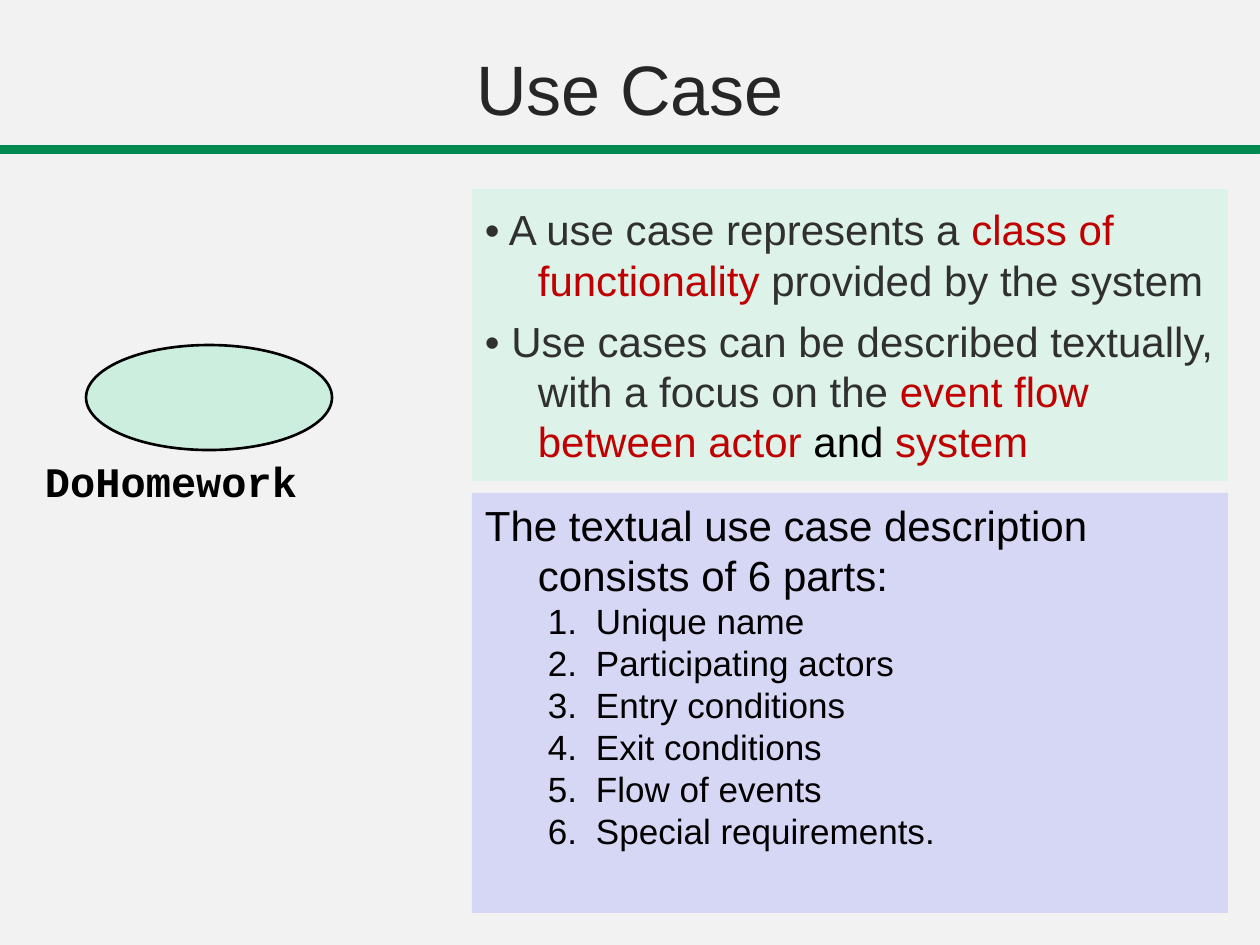
from dataclasses import dataclass

from lxml.etree import SubElement
from pptx import Presentation
from pptx.dml.color import RGBColor
from pptx.enum.shapes import MSO_SHAPE
from pptx.enum.text import MSO_ANCHOR, PP_ALIGN
from pptx.oxml.ns import qn
from pptx.util import Pt

# Content: each paragraph is a list of (text, colour name) runs
TITLE = "Use Case"
USE_CASE_NAME = "DoHomework"
DEFINITION = [
    [("• A use case represents a ", "body"), ("class of functionality", "accent"),
     (" provided by the system", "body")],
    [("• Use cases can be described textually, with a focus on the ", "body"),
     ("event flow between actor ", "accent"), ("and ", "ink"), ("system", "accent")],
]
PARTS_INTRO = "The textual use case description consists of 6 parts:"
PARTS = ["Unique name", "Participating actors", "Entry conditions",
         "Exit conditions", "Flow of events", "Special requirements."]


@dataclass(frozen=True)
class Theme:
    background: str = "F2F2F2"
    rule: str = "018952"
    title: str = "262626"
    body: str = "303030"
    accent: str = "C00000"
    ink: str = "000000"
    mint: str = "DDF3EA"
    ellipse: str = "CCEEDF"
    lavender: str = "D6D6F5"
    font: str = "Arial"
    code_font: str = "Courier New"
    title_size: int = 40
    body_size: int = 24
    list_size: int = 20


THEME = Theme()

# Layout in px, 126 to the inch
SCALE = 914400 / 126
WIDTH, HEIGHT = 1260, 945
PANEL_LEFT, PANEL_WIDTH = 472, 756
INSET_X, INSET_Y = 13, 6
BODY_INDENT = 53
LIST_MARGIN, LIST_INDENT = 111, 48


def px(value):
    return round(value * SCALE)


def color(name):
    return RGBColor.from_string(getattr(THEME, name))


def add_filled(slide, kind, box, fill, line=None, line_width=0):
    shape = slide.shapes.add_shape(kind, *map(px, box))
    shape.shadow.inherit = False
    shape.fill.solid()
    shape.fill.fore_color.rgb = color(fill)
    if line:
        shape.line.color.rgb = color(line)
        shape.line.width = Pt(line_width)
    else:
        shape.line.fill.background()
    return shape


def prepare_text(shape, anchor, inset_x=INSET_X, inset_y=INSET_Y, wrap=True):
    frame = shape.text_frame
    frame.word_wrap = wrap
    frame.vertical_anchor = anchor
    frame.margin_left = frame.margin_right = px(inset_x)
    frame.margin_top = frame.margin_bottom = px(inset_y)
    return frame


def add_paragraph(frame, runs, size, font=THEME.font, align=PP_ALIGN.LEFT,
                  margin=0, hanging=0, space_before=0, numbered=False, bold=False):
    first = frame.paragraphs[0]
    paragraph = frame.add_paragraph() if first.runs else first
    paragraph.alignment = align
    if paragraph is not first:
        paragraph.space_before = Pt(space_before)
    properties = paragraph._p.get_or_add_pPr()
    properties.set("marL", str(px(margin)))
    properties.set("indent", str(-px(hanging)))
    if numbered:
        paragraph.level = 1
        SubElement(properties, qn("a:buFont"), typeface="+mj-lt")
        SubElement(properties, qn("a:buAutoNum"), type="arabicPeriod")
    for text, color_name in runs:
        run = paragraph.add_run()
        run.text = text
        run.font.name = font
        run.font.size = Pt(size)
        run.font.bold = bold
        run.font.color.rgb = color(color_name)


def main():
    presentation = Presentation()
    presentation.slide_width, presentation.slide_height = px(WIDTH), px(HEIGHT)
    slide = presentation.slides.add_slide(presentation.slide_layouts[6])
    slide.background.fill.solid()
    slide.background.fill.fore_color.rgb = color("background")

    # Title and rule
    add_filled(slide, MSO_SHAPE.RECTANGLE, (0, 147, WIDTH, 6), "rule", "rule", 1.75)
    title = slide.shapes.add_textbox(0, 0, px(WIDTH), px(136))
    add_paragraph(prepare_text(title, MSO_ANCHOR.BOTTOM), [(TITLE, "title")],
                  THEME.title_size, align=PP_ALIGN.CENTER)

    # Definition panel
    panel = add_filled(slide, MSO_SHAPE.RECTANGLE,
                       (PANEL_LEFT, 189, PANEL_WIDTH, 292), "mint")
    frame = prepare_text(panel, MSO_ANCHOR.MIDDLE)
    for runs in DEFINITION:
        add_paragraph(frame, runs, THEME.body_size, margin=BODY_INDENT,
                      hanging=BODY_INDENT, space_before=6)

    # Use case symbol and its name
    add_filled(slide, MSO_SHAPE.OVAL, (86, 345, 246, 105), "ellipse", "ink", 1.5)
    label = slide.shapes.add_textbox(*map(px, (45, 456, 273, 50)))
    add_paragraph(prepare_text(label, MSO_ANCHOR.TOP, 0, 0, wrap=False),
                  [(USE_CASE_NAME, "ink")], THEME.body_size, THEME.code_font, bold=True)

    # Description panel
    panel = add_filled(slide, MSO_SHAPE.RECTANGLE,
                       (PANEL_LEFT, 493, PANEL_WIDTH, 420), "lavender")
    frame = prepare_text(panel, MSO_ANCHOR.TOP)
    add_paragraph(frame, [(PARTS_INTRO, "ink")], THEME.body_size,
                  margin=BODY_INDENT, hanging=BODY_INDENT)
    for part in PARTS:
        add_paragraph(frame, [(part, "ink")], THEME.list_size, margin=LIST_MARGIN,
                      hanging=LIST_INDENT, numbered=True)

    presentation.save("out.pptx")


if __name__ == "__main__":
    main()
